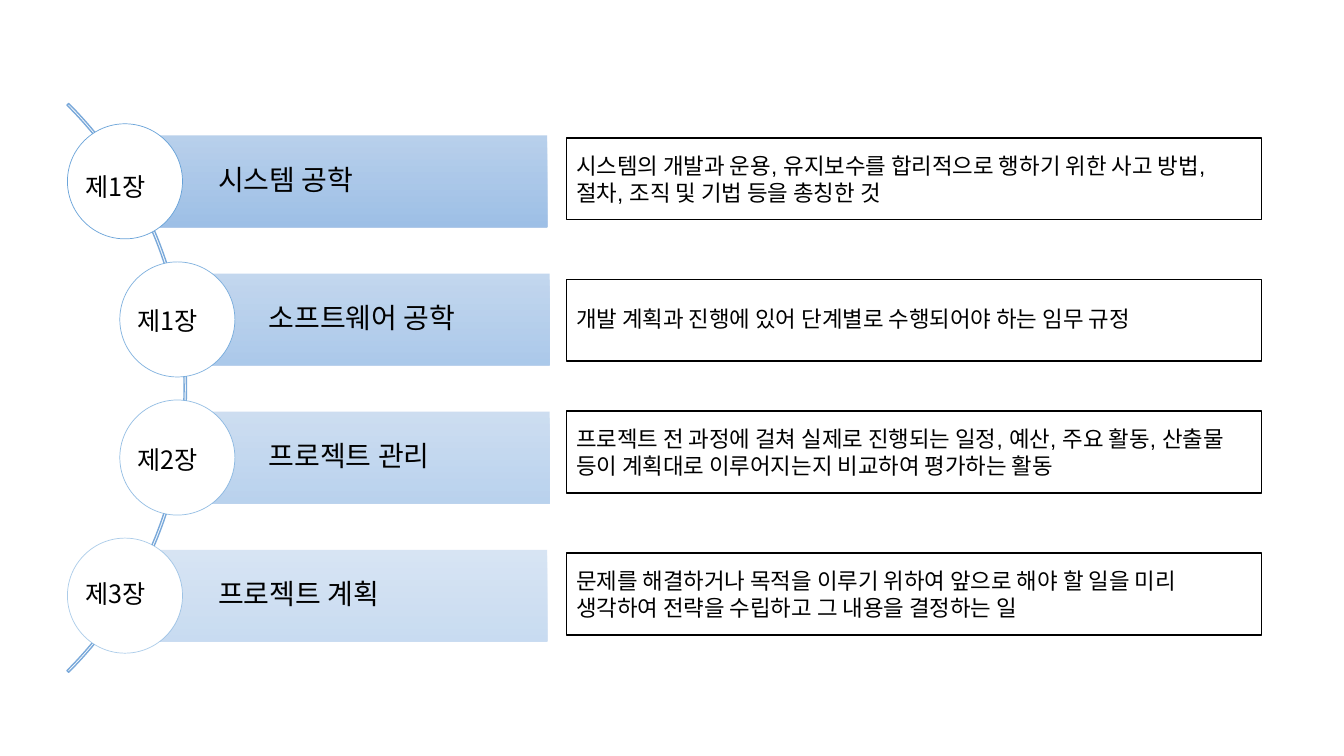
from lxml import etree
from pptx import Presentation
from pptx.dml.color import RGBColor
from pptx.enum.shapes import MSO_SHAPE as Shape
from pptx.enum.text import MSO_ANCHOR as Anchor, PP_ALIGN as Align
from pptx.oxml.ns import qn
from pptx.util import Cm, Pt

BLACK = RGBColor(0x00, 0x00, 0x00)
WHITE = RGBColor(0xFF, 0xFF, 0xFF)
ARC_BLUE = RGBColor(0x7A, 0xA9, 0xDA)
RING_BLUE = RGBColor(0x5B, 0x9B, 0xD5)
BAR_TOP = RGBColor(0xB1, 0xCB, 0xE9)
BAR_BOTTOM = RGBColor(0x93, 0xB9, 0xE4)
HANGUL_FONT = "Noto Sans CJK KR"

BAR_TEXT = {"size": Pt(20), "name": "Arial"}
DESCRIPTION_TEXT = {"size": Pt(16), "name": "Arial"}
LABEL_TEXT = {"size": Pt(18), "name": HANGUL_FONT}

ROW_TOP, ROW_PITCH = 3.12, 3.48
CIRCLE_SIZE = 2.9
BAR_HEIGHT = 2.31
OUTER = {"circle_left": 1.7, "bar_left": 3.66, "bar_width": 10.13}
INNER = {"circle_left": 3.02, "bar_left": 4.93, "bar_width": 8.92}

CHAPTERS = [
    {"place": OUTER, "alpha": 90, "label": "제1장", "label_top": 4.19, "title": "시스템 공학",
     "description_top": 3.48, "spacing": 1.0,
     "description": "시스템의 개발과 운용, 유지보수를 합리적으로 행하기 위한 사고 방법, "
                    "절차, 조직 및 기법 등을 총칭한 것"},
    {"place": INNER, "alpha": 77, "label": "제1장", "label_top": 7.57, "title": "소프트웨어 공학",
     "description_top": 7.04, "spacing": 0.9,
     "description": "개발 계획과 진행에 있어 단계별로 수행되어야 하는 임무 규정"},
    {"place": INNER, "alpha": 63, "label": "제2장", "label_top": 11.07, "title": "프로젝트 관리",
     "description_top": 10.36, "spacing": 1.0,
     "description": "프로젝트 전 과정에 걸쳐 실제로 진행되는 일정, 예산, 주요 활동, "
                    "산출물 등이 계획대로 이루어지는지 비교하여 평가하는 활동"},
    {"place": OUTER, "alpha": 50, "label": "제3장", "label_top": 14.45, "title": "프로젝트 계획",
     "description_top": 13.94, "spacing": 1.0,
     "description": "문제를 해결하거나 목적을 이루기 위하여 앞으로 해야 할 일을 미리 "
                    "생각하여 전략을 수립하고 그 내용을 결정하는 일"},
]


def set_attributes(target, values):
    for name, value in values.items():
        setattr(target, name, value)


def set_alpha(element, percent):
    for color in element.iter(qn("a:srgbClr")):
        etree.SubElement(color, qn("a:alpha"), val=str(percent * 1000))


def write_text(shape, text, text_format, frame_format, spacing=1.0):
    frame = shape.text_frame
    set_attributes(frame, {"word_wrap": True, **frame_format})
    paragraph = frame.paragraphs[0]
    set_attributes(paragraph, {"alignment": Align.LEFT, "line_spacing": spacing})
    run = paragraph.add_run()
    run.text = text
    set_attributes(run.font, text_format)
    run.font.color.rgb = BLACK
    latin = run.font._element.find(qn("a:latin"))
    latin.addnext(latin.makeelement(qn("a:ea"), {"typeface": HANGUL_FONT}))


def add_outlined(slide, kind, box, line_color, line_width, fill_color=None):
    shape = slide.shapes.add_shape(kind, *map(Cm, box))
    shape.shadow.inherit = False
    if fill_color is None:
        shape.fill.background()
    else:
        shape.fill.solid()
        shape.fill.fore_color.rgb = fill_color
    shape.line.color.rgb = line_color
    shape.line.width = Pt(line_width)
    return shape


def add_arc(slide, box):
    arc = add_outlined(slide, Shape.BLOCK_ARC, box, ARC_BLUE, 1)
    for index, value in enumerate((189, 27, 0.003)):
        arc.adjustments[index] = value


def add_title_bar(slide, box, chapter):
    bar = slide.shapes.add_shape(Shape.RECTANGLE, *map(Cm, box))
    bar.shadow.inherit = False
    bar.line.fill.background()
    bar.fill.gradient()
    bar.fill.gradient_angle = 270
    for stop, color, position in zip(bar.fill.gradient_stops, (BAR_TOP, BAR_BOTTOM), (0, 1)):
        stop.color.rgb = color
        stop.position = position
    set_alpha(bar._element.spPr, chapter["alpha"])
    margins = {"margin_left": Cm(1.84), "margin_right": Cm(0.15),
               "margin_top": Cm(0.15), "margin_bottom": Cm(0.15)}
    write_text(bar, chapter["title"], BAR_TEXT,
               {"vertical_anchor": Anchor.MIDDLE, **margins}, 0.9)


def add_chapter(slide, left, top, chapter):
    place = chapter["place"]
    bar_top = top + (CIRCLE_SIZE - BAR_HEIGHT) / 2
    add_title_bar(slide, (place["bar_left"], bar_top, place["bar_width"], BAR_HEIGHT), chapter)
    circle = add_outlined(slide, Shape.OVAL, (left, top, CIRCLE_SIZE, CIRCLE_SIZE),
                          RING_BLUE, 0.5, WHITE)
    set_alpha(circle.line._ln, chapter["alpha"])
    label = slide.shapes.add_textbox(*map(Cm, (left + 0.2, chapter["label_top"], 2.16, 1.02)))
    write_text(label, chapter["label"], LABEL_TEXT, {"vertical_anchor": Anchor.TOP})


def add_description(slide, box, chapter):
    panel = add_outlined(slide, Shape.RECTANGLE, box, BLACK, 1, WHITE)
    write_text(panel, chapter["description"], DESCRIPTION_TEXT,
               {"vertical_anchor": Anchor.MIDDLE}, chapter["spacing"])


def main():
    presentation = Presentation()
    set_attributes(presentation, {"slide_width": Cm(33.87), "slide_height": Cm(19.05)})
    slide = presentation.slides.add_slide(presentation.slide_layouts[6])
    add_arc(slide, (-15.57, -0.36, 20.27, 20.27))
    for index, chapter in enumerate(CHAPTERS):
        add_chapter(slide, chapter["place"]["circle_left"], ROW_TOP + index * ROW_PITCH, chapter)
        add_description(slide, (14.27, chapter["description_top"], 17.53, 2.06), chapter)
    presentation.save("out.pptx")


if __name__ == "__main__":
    main()
